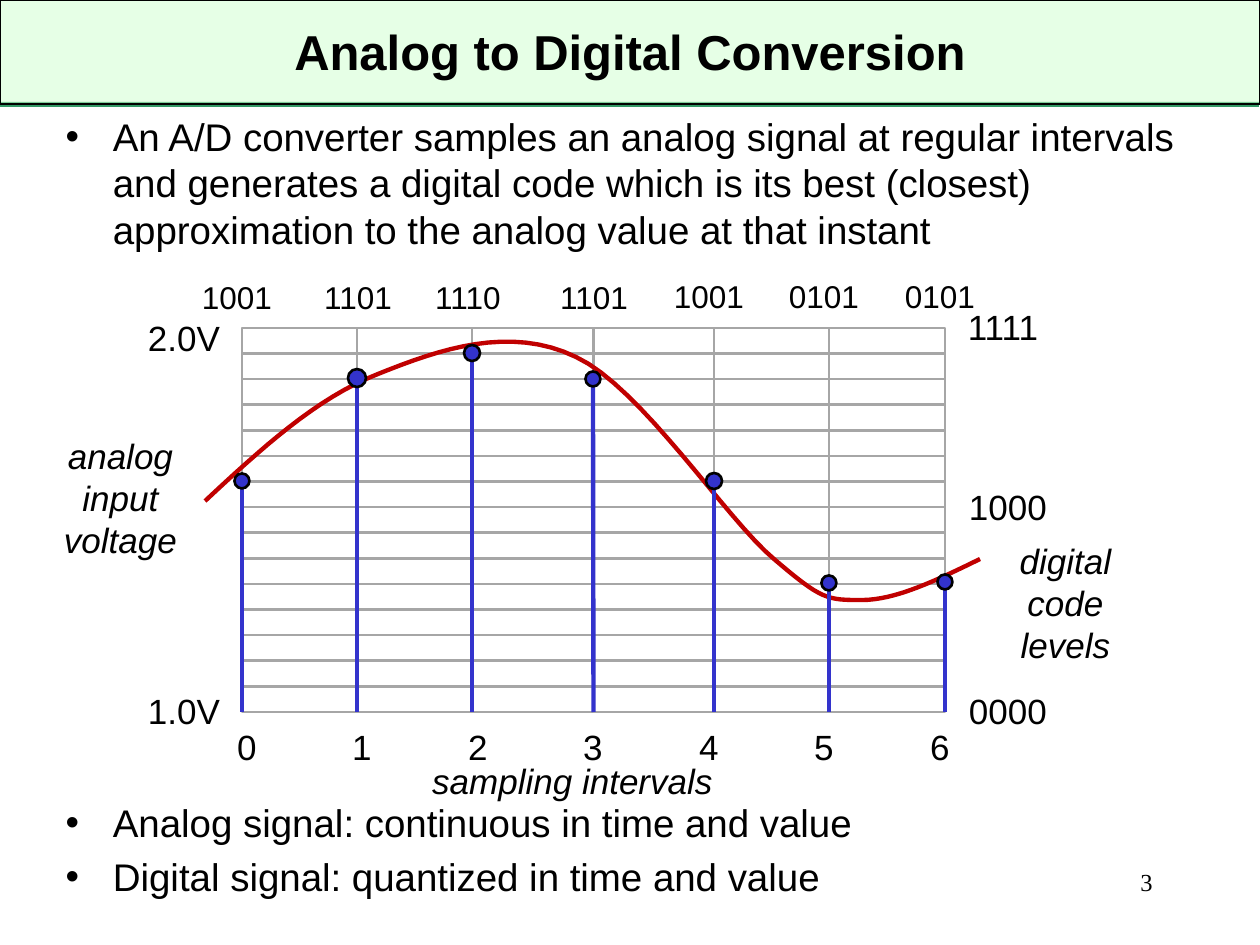
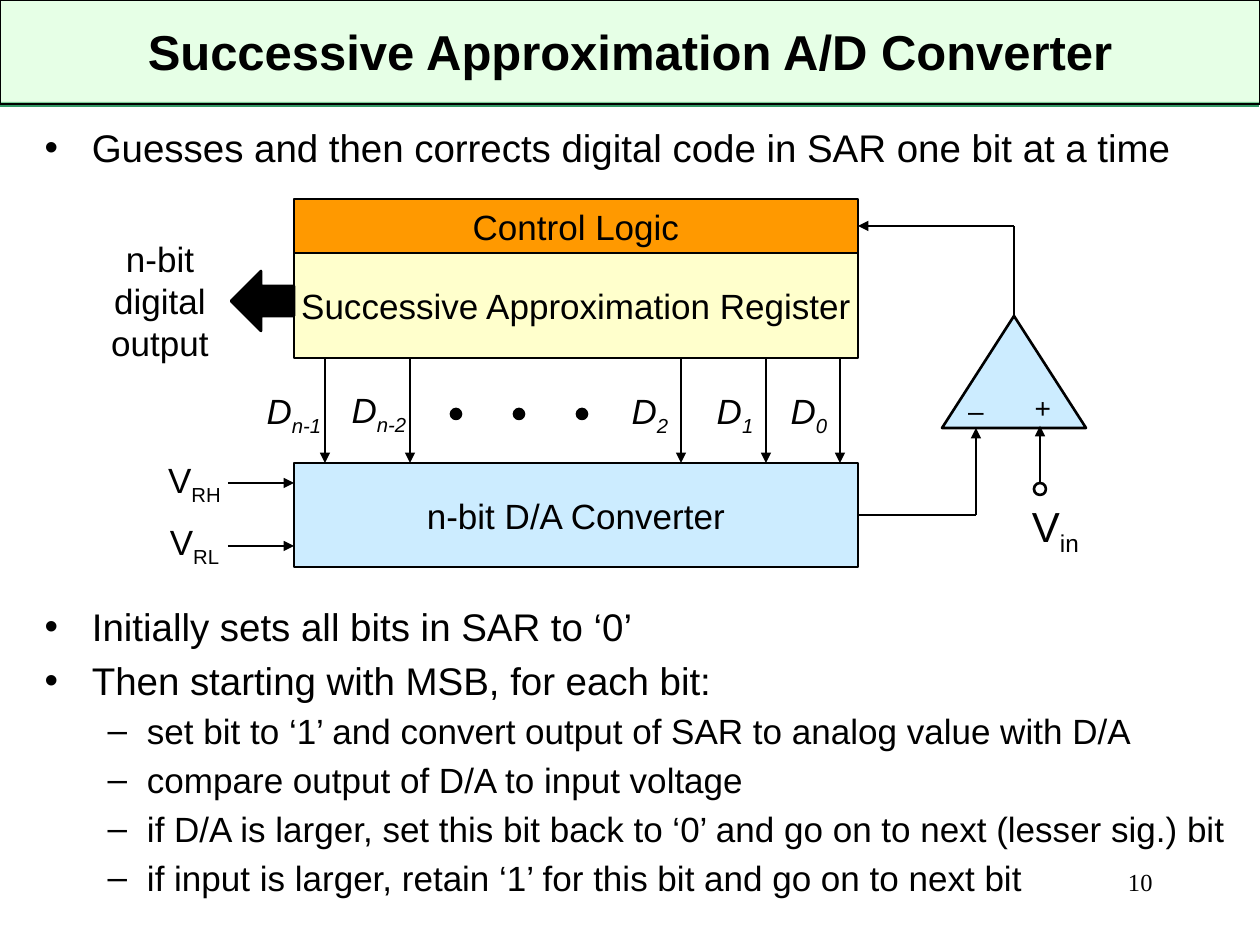
from dataclasses import dataclass

from lxml import etree
from pptx import Presentation
from pptx import util as u
from pptx.dml.color import RGBColor
from pptx.enum import shapes, text
from pptx.oxml.ns import qn

SCALE = 914400 / 126


@dataclass(frozen=True)
class Theme:
    ink: str = "000000"
    paper: str = "FFFFFF"
    band: str = "CCFFCC"
    strip: str = "339966"
    grid: str = "A6A6A6"
    signal: str = "C00000"
    sample: str = "3333CC"
    logic: str = "FF9900"
    register: str = "FFFFCC"
    converter: str = "CCECFF"
    font: str = "Arial"
    number_font: str = "Times New Roman"
    title: int = 28
    input: int = 24
    body: int = 22
    label: int = 20
    code: int = 18
    sign: int = 16
    number: int = 14
    thin: float = 0.75
    rule: float = 1.5
    bold_rule: float = 2.5


THEME = Theme()
PLAIN_FRAME = {"word_wrap": True, "auto_size": text.MSO_AUTO_SIZE.NONE}


def px(length):
    return u.Emu(round(length * SCALE))


def px_box(*lengths):
    return [px(length) for length in lengths]


def apply(target, values):
    for name, value in values.items():
        setattr(target, name, value)


def add_run(paragraph, wording, size, **style):
    run = paragraph.add_run()
    run.text = wording
    apply(run.font, {"name": THEME.font, "size": u.Pt(size), **style})
    run.font.color.rgb = RGBColor.from_string(THEME.ink)


def write(frame, lines, size, align=text.PP_ALIGN.CENTER, **style):
    for index, line in enumerate(lines):
        paragraph = frame.add_paragraph() if index else frame.paragraphs[0]
        paragraph.alignment = align
        add_run(paragraph, line, size, **style)


def add_label(slide, box, wording, size=THEME.label, sub="",
              align=text.PP_ALIGN.CENTER, **style):
    label = slide.shapes.add_textbox(*px_box(*box))
    apply(label.text_frame, PLAIN_FRAME)
    write(label.text_frame, wording.split("\n"), size, align, **style)
    if sub:
        add_run(label.text_frame.paragraphs[0], sub, size, **style)
        list(label.element.iter(qn("a:rPr")))[-1].set("baseline", "-25000")
    return label


def paint(shape, fill, line, width):
    shape.shadow.inherit = False
    if fill:
        shape.fill.solid()
        shape.fill.fore_color.rgb = RGBColor.from_string(fill)
    else:
        shape.fill.background()
    if line:
        shape.line.color.rgb = RGBColor.from_string(line)
        shape.line.width = u.Pt(width)
    else:
        shape.line.fill.background()


def add_figure(slide, kind, box, fill=None, line=THEME.ink, width=THEME.rule):
    figure = slide.shapes.add_shape(kind, *px_box(*box))
    paint(figure, fill, line, width)
    return figure


def add_block(slide, box, wording, fill):
    block = add_figure(slide, shapes.MSO_SHAPE.RECTANGLE, box, fill)
    apply(block.text_frame, {**PLAIN_FRAME, "margin_left": 0, "margin_right": 0,
                             "vertical_anchor": text.MSO_ANCHOR.MIDDLE})
    write(block.text_frame, [wording], THEME.label)
    return block


def add_line(slide, start, end, color=THEME.ink, width=THEME.rule,
             arrow=False, begin_at=None, end_at=None):
    line = slide.shapes.add_connector(
        shapes.MSO_CONNECTOR.STRAIGHT, *px_box(*start, *end))
    line.line.color.rgb = RGBColor.from_string(color)
    line.line.width = u.Pt(width)
    properties = line.element.find(qn("p:spPr"))
    if arrow:
        etree.SubElement(properties.find(qn("a:ln")), qn("a:tailEnd"), type="triangle")
    etree.SubElement(properties, qn("a:effectLst"))
    if begin_at:
        line.begin_connect(*begin_at)
    if end_at:
        line.end_connect(*end_at)


def add_curve(slide, start, segments, steps=16):
    points = []
    first = start
    for bend_1, bend_2, last in segments:
        for step in range(1, steps + 1):
            t = step / steps
            points.append(tuple(
                px((1 - t) ** 3 * a + 3 * (1 - t) ** 2 * t * b
                   + 3 * (1 - t) * t ** 2 * c + t ** 3 * d)
                for a, b, c, d in zip(first, bend_1, bend_2, last)))
        first = last
    builder = slide.shapes.build_freeform(*px_box(*start), scale=1.0)
    builder.add_line_segments(points, close=False)
    paint(builder.convert_to_shape(), None, THEME.signal, THEME.bold_rule)


def add_header_to_master(deck, slide):
    rectangle = shapes.MSO_SHAPE.RECTANGLE
    strip = add_figure(slide, rectangle, (0, 102, 1259, 5), THEME.strip, None)
    band = add_figure(slide, rectangle, (0, 0, 1260, 104), THEME.band, width=THEME.thin)
    tint = band.element.find(".//" + qn("a:srgbClr"))
    etree.SubElement(tint, qn("a:alpha"), val="49000")
    for place, part in enumerate((strip, band)):
        part.element.find(".//" + qn("p:cNvPr")).set("id", str(101 + place))
        deck.slide_master.shapes.element.insert(2 + place, part.element)


def place(placeholder, box):
    apply(placeholder, dict(zip(("left", "top", "width", "height"), px_box(*box))))
    apply(placeholder.text_frame, PLAIN_FRAME)


def add_page(deck, title, number, body_box, points):
    slide = deck.slides.add_slide(deck.slide_layouts[1])
    heading, body = slide.placeholders
    place(heading, (63, 8, 1134, 85))
    write(heading.text_frame, [title], THEME.title, bold=True)
    place(body, body_box)
    for index, (wording, level, gap) in enumerate(points):
        frame = body.text_frame
        point = frame.add_paragraph() if index else frame.paragraphs[0]
        apply(point, {"level": level, "space_before": u.Pt(gap)})
        add_run(point, wording, THEME.label if level else THEME.body)
    add_label(slide, (903, 861, 262, 63), number, THEME.number,
              align=text.PP_ALIGN.RIGHT, name=THEME.number_font)
    return slide


def draw_sampling(slide):
    left, top, width, height, levels = 242, 328, 703, 384, 15
    bottom = top + height
    samples = [
        ("1001", 179, 242, 481, 15), ("1101", 300, 357, 378, 18),
        ("1110", 410, 472, 353, 16), ("1101", 536, 593, 379, 15),
        ("1001", 651, 714, 481, 16), ("0101", 766, 829, 583, 15),
        ("0101", 882, 945, 582, 15)]
    rows = [add_figure(slide, shapes.MSO_SHAPE.RECTANGLE,
                       (left, top + height * level / levels, width, height / levels),
                       line=THEME.grid) for level in range(levels)]
    middle = len(samples) // 2
    for interval in range(1, len(samples) - 1):
        x = samples[interval][2]
        joined = interval == middle
        add_line(slide, (x, top), (x, bottom), THEME.grid,
                 begin_at=(rows[0], 0) if joined else None,
                 end_at=(rows[-1], 2) if joined else None)

    add_curve(slide, (205, 501), [
        ((261, 449), (316, 398), (378, 374)),
        ((440, 349), (510, 325), (576, 357)),
        ((641, 387), (726, 519), (774, 559)),
        ((822, 600), (827, 600), (862, 600)),
        ((896, 600), (937, 580), (980, 559))])

    for interval, (code, code_left, x, y, size) in enumerate(samples):
        add_line(slide, (x, bottom), (x, y + size / 2), THEME.sample, THEME.bold_rule,
                 begin_at=(rows[-1], 2) if interval == middle else None)
        add_figure(slide, shapes.MSO_SHAPE.OVAL,
                   (x - size / 2, y - size / 2, size, size), THEME.sample)
        add_label(slide, (code_left, 272 if interval < 4 else 271, 116, 50),
                  code, THEME.code)
        add_label(slide, (189 + interval * 231 // 2, 719, 116, 55), str(interval))

    for wording, x, y in [("2.0V", 126, 310), ("1.0V", 126, 683), ("1111", 945, 299),
                          ("1000", 950, 479), ("0000", 950, 683)]:
        add_label(slide, (x, y, 116, 55), wording)
    for wording, x, y, tall in [("analog\ninput\nvoltage", -42, 428, 140),
                                ("digital\ncode\nlevels", 903, 533, 140),
                                ("sampling intervals", 410, 753, 55)]:
        add_label(slide, (x, y, 325, tall), wording, italic=True)


def draw_converter(slide):
    left, width = 294, 564
    right = left + width
    register_bottom, converter_top = 358, 463
    add_block(slide, (left, 253, width, 105),
              "Successive Approximation Register", THEME.register)
    converter = add_block(slide, (left, converter_top, width, 104),
                          "n-bit D/A Converter", THEME.converter)
    control = add_block(slide, (left, 199, width, 54), "Control Logic", THEME.logic)

    for bit, x in [("n-1", 325), ("n-2", 410), ("2", 681), ("1", 766), ("0", 840)]:
        add_line(slide, (x, register_bottom), (x, converter_top), arrow=True)
        add_label(slide, (x - 94, 382 if bit == "n-2" else 383, 126, 55),
                  "D", sub=bit, italic=True)
    for dot in range(3):
        add_figure(slide, shapes.MSO_SHAPE.OVAL, (451 + 63 * dot, 409, 10, 10), THEME.ink)

    comparator = add_figure(slide, shapes.MSO_SHAPE.ISOSCELES_TRIANGLE,
                            (942, 316, 144, 112), THEME.converter)
    add_label(slide, (1014, 382, 62, 54), "+", THEME.sign).rotation = 270
    add_label(slide, (945, 387, 62, 54), "–", THEME.sign)
    add_line(slide, (1014, 316), (1014, 226), begin_at=(comparator, 0))
    add_line(slide, (1014, 226), (right, 226), arrow=True, end_at=(control, 3))
    add_line(slide, (right, 515), (976, 515), begin_at=(converter, 3))
    add_line(slide, (976, 515), (976, 428), arrow=True)
    add_line(slide, (1040, 491), (1040, 426), arrow=True)
    add_figure(slide, shapes.MSO_SHAPE.OVAL, (1034, 483, 12, 12), THEME.paper)
    add_label(slide, (966, 494, 179, 63), "V", THEME.input, sub="in")

    add_figure(slide, shapes.MSO_SHAPE.LEFT_ARROW, (231, 271, 63, 60), THEME.ink)
    add_label(slide, (92, 231, 136, 140), "n-bit\ndigital\noutput")
    for level, y, label_top in [("RH", 483, 452), ("RL", 546, 514)]:
        add_line(slide, (228, y), (left, y), arrow=True)
        add_label(slide, (105, label_top, 179, 55), "V", sub=level)


def main():
    deck = Presentation()
    apply(deck, {"slide_width": px(1260), "slide_height": px(945)})
    sampling = add_page(
        deck, "Analog to Digital Conversion", "3", (53, 107, 1166, 165), [
            ("An A/D converter samples an analog signal at regular intervals and "
             "generates a digital code which is its best (closest) approximation "
             "to the analog value at that instant", 0, 4.4),
            ("Analog signal: continuous in time and value", 0, 312.6),
            ("Digital signal: quantized in time and value", 0, 4.4)])
    add_header_to_master(deck, sampling)
    draw_sampling(sampling)

    successive = add_page(
        deck, "Successive Approximation A/D Converter", "10", (32, 118, 1210, 165), [
            ("Guesses and then corrects digital code in SAR one bit at a time", 0, 4),
            ("Initially sets all bits in SAR to ‘0’", 0, 247.4),
            ("Then starting with MSB, for each bit:", 0, 4),
            ("set bit to ‘1’ and convert output of SAR to analog value with D/A", 1, 4),
            ("compare output of D/A to input voltage", 1, 4),
            ("if D/A is larger, set this bit back to ‘0’ and go on to next "
             "(lesser sig.) bit", 1, 4),
            ("if input is larger, retain ‘1’ for this bit and go on to next bit", 1, 4)])
    draw_converter(successive)
    deck.save("out.pptx")


if __name__ == "__main__":
    main()
